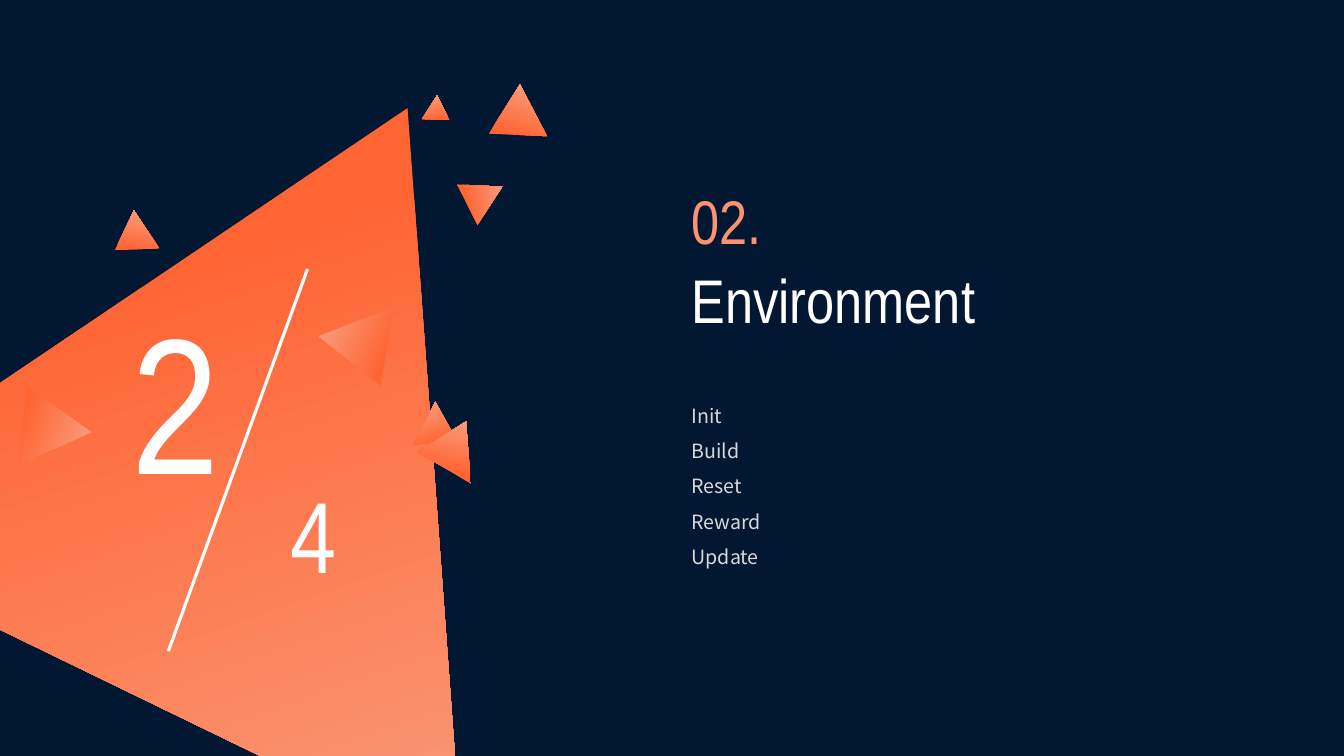
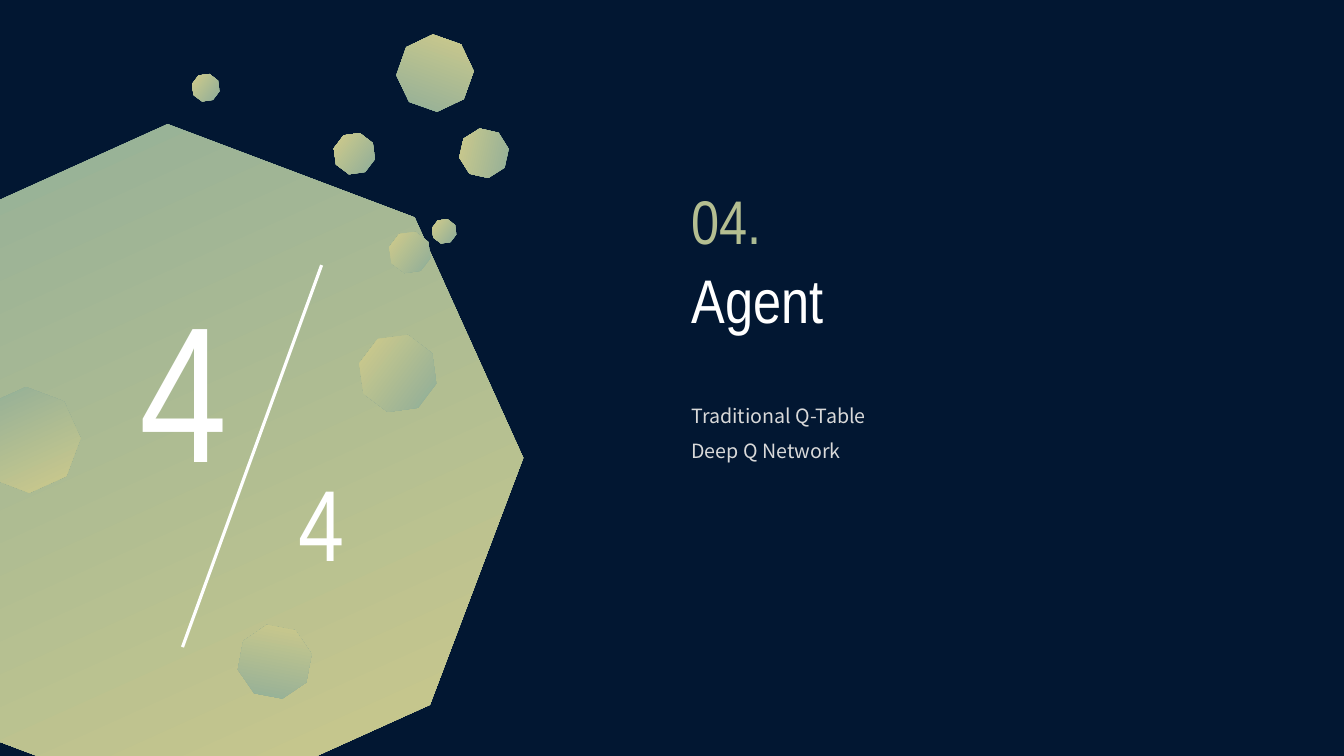
"""Build two section divider slides with a faceted shape and a section counter."""
from dataclasses import dataclass

from lxml import etree
from pptx import Presentation
from pptx import util as u
from pptx.dml.color import RGBColor
from pptx.enum import shapes, text
from pptx.oxml.ns import qn

NAVY, WHITE, GREY = "021732", "FFFFFF", "D9D9D9"
HEADING_FONT, BODY_FONT = "Arial Narrow", "Noto Sans CJK SC"
TEXT_LEFT, TEXT_WIDTH = 6.76, 5.05
TITLE_ONLY = 5
SLASH_RUN, SLASH_DROP = 1.38, 3.79


@dataclass(frozen=True)
class Facet:
    """A rotated, gradient-filled piece of the decoration."""

    left: float
    top: float
    width: float
    height: float
    rotation: float
    flip: str = ""


@dataclass(frozen=True)
class Section:
    """Everything that differs from one divider to the next."""

    number: int
    title: str
    topics: tuple[str, ...]
    number_color: str
    dot_color: str
    outline: shapes.MSO_SHAPE
    gradient: tuple[tuple[float, str], ...]
    counter_at: tuple[float, float]
    slash_from: tuple[float, float]
    backdrop: Facet
    facets: tuple[Facet, ...]


def octagon(left: float, top: float, size: float, rotation: float = 172.2) -> Facet:
    """Return a facet as wide as it is high."""
    return Facet(left, top, size, size, rotation)


SECTIONS = (
    Section(
        2, "Environment", ("Init", "Build", "Reset", "Reward", "Update"),
        "FB9371", "FB9371", shapes.MSO_SHAPE.ISOSCELES_TRIANGLE,
        ((0.36, "FF6433"), (1.0, "F8A284")), (1.21, 2.74), (3.05, 2.67),
        Facet(-1.08, 0.75, 7.44, 6.42, 25.9),
        (
            Facet(3.26, 3.17, 0.79, 0.68, 158.6),
            Facet(0.01, 3.8, 0.79, 0.68, 335.7),
            Facet(4.47, 1.74, 0.45, 0.39, 302.8),
            Facet(4.22, 1.01, 0.28, 0.24, 302.8, "flipV"),
            Facet(4.78, 0.96, 0.58, 0.5, 242.4),
            Facet(1.07, 2.19, 0.45, 0.38, 236.3),
            Facet(4.13, 4.1, 0.48, 0.37, 117.6, "flipH"),
            Facet(4.24, 4.29, 0.57, 0.55, 148.1, "flipH"),
        ),
    ),
    Section(
        4, "Agent", ("Traditional Q-Table", "Deep Q Network"),
        "B4BE91", "ABBB93", shapes.MSO_SHAPE.OCTAGON,
        ((0.0, "8BAC9A"), (0.88, "CBC98C")), (1.29, 2.62), (3.19, 2.63),
        octagon(-1.39, 1.49, 6.32, 20.7),
        (
            octagon(2.38, 6.22, 0.69, 235.7),
            octagon(-0.21, 3.88, 0.97, 20.7),
            octagon(3.58, 3.34, 0.73),
            octagon(3.96, 0.37, 0.71, 244.5),
            octagon(4.57, 1.29, 0.46, 147.7),
            octagon(3.87, 2.31, 0.39),
            octagon(3.32, 1.33, 0.39),
            octagon(4.29, 2.18, 0.23),
            octagon(1.91, 0.74, 0.26),
        ),
    ),
)


def rgb(color: str) -> RGBColor:
    """Turn a hex string into a colour."""
    return RGBColor.from_string(color)


def style_run(run, size: float, color: str, font: str = HEADING_FONT) -> None:
    """Set size, colour and typeface of a run."""
    run.font.size = u.Pt(size)
    run.font.name = font
    run.font.color.rgb = rgb(color)


def add_text(slide, left: float, top: float, width: float, height: float,
             lines: tuple[str, ...], size: float, color: str,
             font: str = HEADING_FONT, spacing: float = 1.0):
    """Add a wrapped text box with one paragraph per line and return its frame."""
    frame = slide.shapes.add_textbox(
        u.Inches(left), u.Inches(top), u.Inches(width), u.Inches(height)).text_frame
    frame.word_wrap = True
    frame.text = "\n".join(lines)
    for paragraph in frame.paragraphs:
        paragraph.line_spacing = spacing
        for run in paragraph.runs:
            style_run(run, size, color, font)
    return frame


def add_facet(slide, section: Section, facet: Facet) -> None:
    """Draw one facet in the outline and gradient of its section."""
    piece = slide.shapes.add_shape(
        section.outline, u.Inches(facet.left), u.Inches(facet.top),
        u.Inches(facet.width), u.Inches(facet.height))
    piece.rotation = facet.rotation
    piece.shadow.inherit = False
    piece.line.fill.background()
    piece.fill.gradient()
    piece.fill.gradient_angle = 315
    for stop, (position, color) in zip(piece.fill.gradient_stops, section.gradient):
        stop.position = position
        stop.color.rgb = rgb(color)
    if facet.flip:
        piece._element.spPr.find(qn("a:xfrm")).set(facet.flip, "1")


def add_counter(slide, section: Section) -> None:
    """Draw the section number over the number of sections, split by a slash."""
    left, top = section.counter_at
    add_text(slide, left, top, 0.73, 2.42, (str(section.number),), 138, WHITE)
    add_text(slide, left + 1.57, top + 1.9, 0.66, 1.31, ("4",), 72, WHITE)
    x, y = section.slash_from
    slash = slide.shapes.add_connector(
        shapes.MSO_CONNECTOR.STRAIGHT, u.Inches(x), u.Inches(y),
        u.Inches(x - SLASH_RUN), u.Inches(y + SLASH_DROP))
    slash.line.color.rgb = rgb(WHITE)
    slash.line.width = u.Pt(2.25)
    etree.SubElement(slash._element.spPr, qn("a:effectLst"))


def set_title(slide, wording: str) -> None:
    """Place and format the title placeholder."""
    title = slide.shapes.title
    title.left, title.top = u.Inches(TEXT_LEFT), u.Inches(2.55)
    title.width, title.height = u.Inches(TEXT_WIDTH), u.Inches(0.84)
    frame = title.text_frame
    frame.text = wording
    frame.auto_size = text.MSO_AUTO_SIZE.NONE
    frame.vertical_anchor = text.MSO_ANCHOR.TOP
    frame.paragraphs[0].alignment = text.PP_ALIGN.LEFT
    style_run(frame.paragraphs[0].runs[0], 44, WHITE)


def add_section(prs, section: Section) -> None:
    """Add the divider slide of one section."""
    slide = prs.slides.add_slide(prs.slide_layouts[TITLE_ONLY])
    set_title(slide, section.title)
    add_facet(slide, section, section.backdrop)
    add_counter(slide, section)
    label = add_text(slide, TEXT_LEFT, 1.77, 0.98, 0.84,
                     (f"{section.number:02d}",), 44, section.number_color)
    dot = label.paragraphs[0].add_run()
    dot.text = "."
    style_run(dot, 44, section.dot_color)
    add_text(slide, TEXT_LEFT, 3.84, TEXT_WIDTH, 0.1 + 0.35 * len(section.topics),
             section.topics, 14, GREY, BODY_FONT, 1.5)
    for facet in section.facets:
        add_facet(slide, section, facet)


def main() -> None:
    """Build and save the presentation."""
    prs = Presentation()
    prs.slide_width, prs.slide_height = u.Inches(13.33), u.Inches(7.5)
    background = prs.slide_master.background.fill
    background.solid()
    background.fore_color.rgb = rgb(NAVY)
    for section in SECTIONS:
        add_section(prs, section)
    prs.save("out.pptx")


if __name__ == "__main__":
    main()
